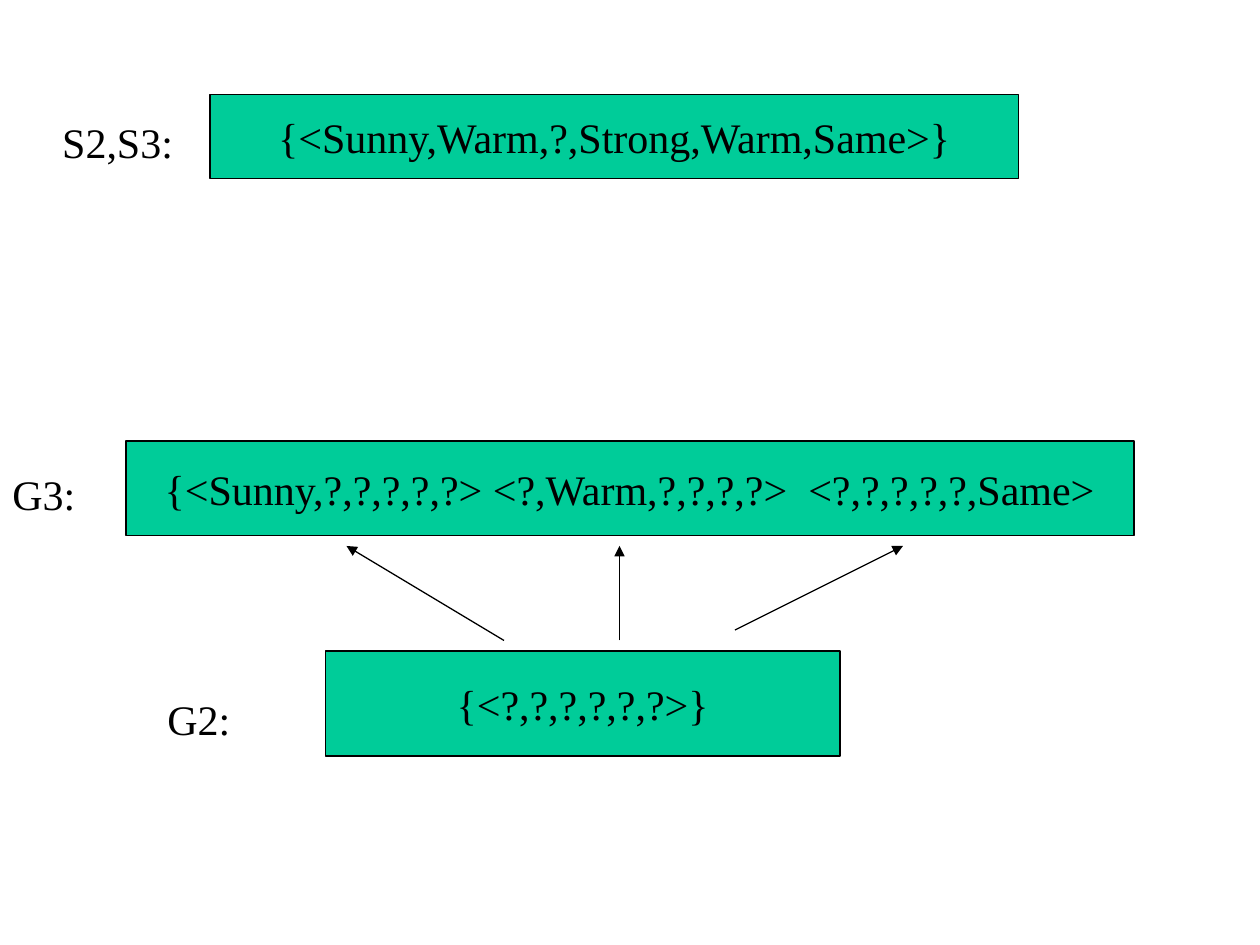
from dataclasses import dataclass

from pptx import Presentation
from pptx import util as u
from pptx.dml.color import RGBColor
from pptx.enum import shapes, text
from pptx.oxml.ns import qn
from lxml import etree

PX = 9525  # EMU per px, 96 px to the inch


@dataclass(frozen=True)
class Theme:
    ink: RGBColor = RGBColor(0x00, 0x00, 0x00)
    box: RGBColor = RGBColor(0x00, 0xCC, 0x99)
    font: str = "Times New Roman"
    size: u.Pt = u.Pt(24)
    rule: u.Pt = u.Pt(0.75)


class SlideBuilder:
    def __init__(self, slide, theme):
        self.shapes = slide.shapes
        self.theme = theme

    def set_words(self, shape, words, align, **frame_format):
        frame = shape.text_frame
        for name, value in frame_format.items():
            setattr(frame, name, value)
        paragraph = frame.paragraphs[0]
        paragraph.alignment = align
        run = paragraph.add_run()
        run.text = words
        font_format = {"name": self.theme.font, "size": self.theme.size}
        for name, value in font_format.items():
            setattr(run.font, name, value)
        run.font.color.rgb = self.theme.ink

    def outline(self, line):
        line.color.rgb = self.theme.ink
        line.width = self.theme.rule

    def hypothesis_box(self, words, *bounds):
        box = self.shapes.add_shape(
            shapes.MSO_SHAPE.FLOWCHART_PROCESS, *(n * PX for n in bounds))
        box.shadow.inherit = False
        box.fill.solid()
        box.fill.fore_color.rgb = self.theme.box
        self.outline(box.line)
        self.set_words(box, words, text.PP_ALIGN.CENTER, word_wrap=False,
                       vertical_anchor=text.MSO_ANCHOR.MIDDLE)

    def label(self, words, *bounds, wrap=False):
        label = self.shapes.add_textbox(*(n * PX for n in bounds))
        self.set_words(label, words, text.PP_ALIGN.LEFT, word_wrap=wrap,
                       auto_size=text.MSO_AUTO_SIZE.SHAPE_TO_FIT_TEXT)

    def arrow(self, *ends):
        arrow = self.shapes.add_connector(
            shapes.MSO_CONNECTOR.STRAIGHT, *(n * PX for n in ends))
        self.outline(arrow.line)
        properties = arrow._element.spPr
        etree.SubElement(properties.find(qn("a:ln")), qn("a:tailEnd"),
                         type="triangle")
        etree.SubElement(properties, qn("a:effectLst"))


def main():
    deck = Presentation()
    deck.slide_width, deck.slide_height = 960 * PX, 720 * PX
    blank_layout = deck.slide_layouts[6]
    builder = SlideBuilder(deck.slides.add_slide(blank_layout), Theme())

    # Hypothesis sets
    builder.hypothesis_box("{<Sunny,Warm,?,Strong,Warm,Same>}", 160, 72, 616, 64)
    builder.hypothesis_box("{<Sunny,?,?,?,?,?> <?,Warm,?,?,?,?>  <?,?,?,?,?,Same>",
                           96, 336, 768, 72)
    builder.hypothesis_box("{<?,?,?,?,?,?>}", 248, 496, 392, 80)

    # Names of the boundary sets
    builder.label("S2,S3:", 38, 84, 104, 48)
    builder.label("G3:", 0, 352, 75, 48, wrap=True)
    builder.label("G2:", 118, 524, 67, 48)

    # Specialisation from G2 to the members of G3
    g3_edge = 416
    for start_x, start_y, end_x in ((384, 488, 264), (472, 488, 472), (560, 480, 688)):
        builder.arrow(start_x, start_y, end_x, g3_edge)

    deck.save("out.pptx")


if __name__ == "__main__":
    main()
